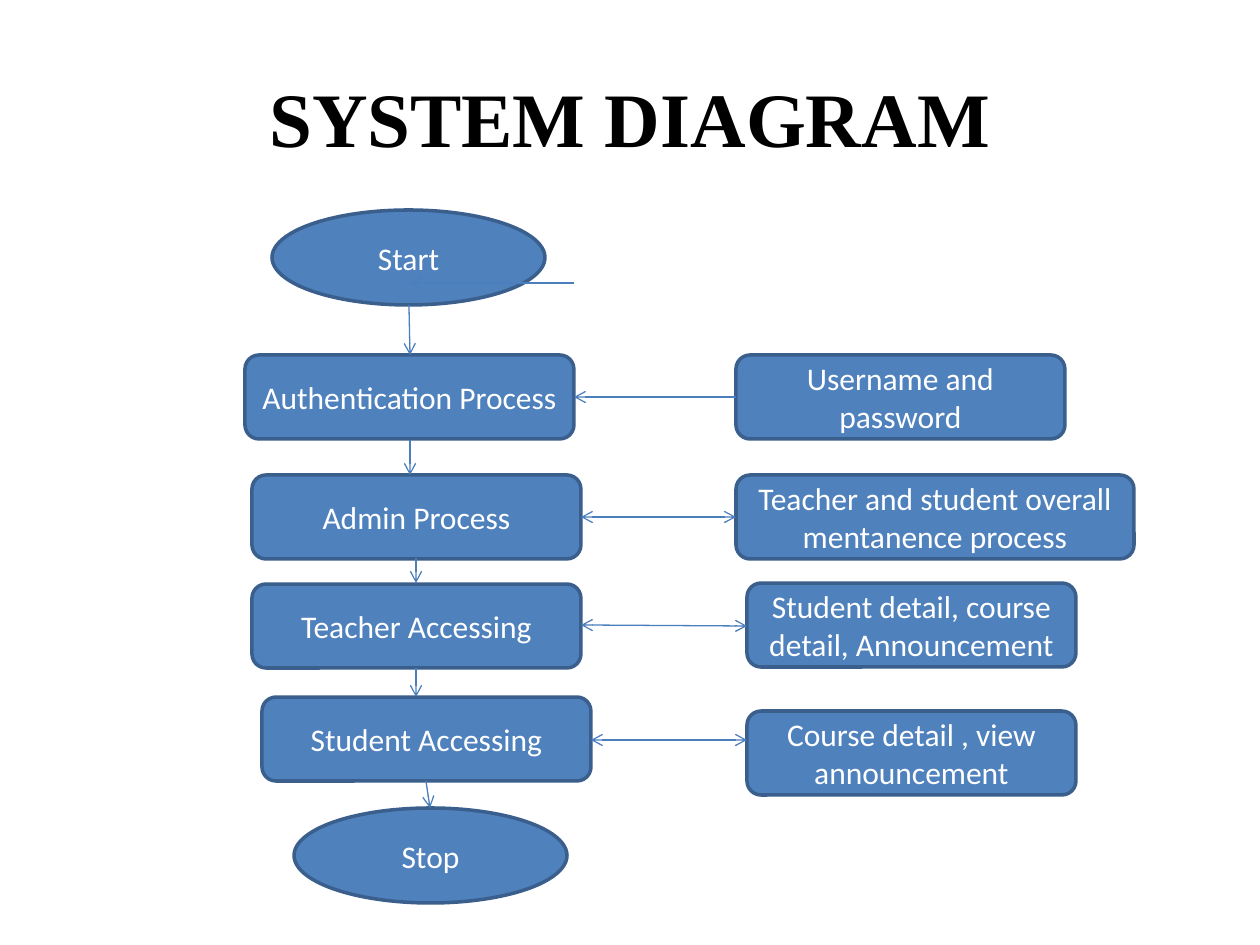
"""Builds the system diagram slide."""
from dataclasses import dataclass

from lxml.etree import SubElement
from pptx import Presentation
from pptx.dml.color import RGBColor
from pptx.enum.shapes import MSO_CONNECTOR as Connector, MSO_SHAPE as Shape
from pptx.enum.text import MSO_ANCHOR as Anchor, PP_ALIGN as Align
from pptx.oxml.ns import qn
from pptx.slide import Slide
from pptx.text.text import TextFrame
from pptx.util import Emu, Pt

EMU_PER_PIXEL = 914400 / 126


@dataclass(frozen=True)
class Theme:
    """Colours, fonts and sizes of the slide."""
    fill: RGBColor = RGBColor(0x4F, 0x81, 0xBD)
    border: RGBColor = RGBColor(0x3A, 0x5F, 0x8C)
    arrow: RGBColor = RGBColor(0x4B, 0x7E, 0xBC)
    title: RGBColor = RGBColor(0, 0, 0)
    label: RGBColor = RGBColor(255, 255, 255)
    title_font: str = "Times New Roman"
    label_font: str = "Calibri"
    title_size: float = 44
    label_size: float = 18
    border_width: float = 2
    arrow_width: float = 0.75


@dataclass(frozen=True)
class Node:
    """A labelled flowchart step, in pixels."""
    text: str
    left: int
    top: int
    width: int = 329
    height: int = 84
    kind: Shape = Shape.ROUNDED_RECTANGLE


@dataclass(frozen=True)
class Arrow:
    """A straight arrow between two points, in pixels."""
    start: tuple[int, int]
    end: tuple[int, int]
    both_ways: bool = False


THEME = Theme()
OVAL = dict(width=273, height=95, kind=Shape.OVAL)

NODES = [
    Node("Start", 272, 210, **OVAL),
    Node("Authentication Process ", 245, 355),
    Node("Admin Process", 252, 475),
    Node("Teacher Accessing", 252, 584),
    Node("Student Accessing", 262, 697),
    Node("Stop", 294, 808, **OVAL),
    Node("Username and password", 736, 355),
    Node("Teacher and student overall mentanence process", 736, 475, width=398),
    Node("Student detail, course detail, Announcement", 747, 583),
    Node("Course detail , view announcement", 747, 711),
]

ARROWS = [
    Arrow((574, 283), (410, 283)),
    Arrow((409, 305), (410, 355)),
    Arrow((410, 440), (410, 475)),
    Arrow((416, 558), (416, 583)),
    Arrow((416, 668), (416, 697)),
    Arrow((426, 781), (430, 808)),
    Arrow((736, 397), (574, 397)),
    Arrow((581, 517), (736, 517), both_ways=True),
    Arrow((581, 625), (747, 626), both_ways=True),
    Arrow((591, 740), (747, 740), both_ways=True),
]


def px(*lengths: int) -> list[Emu]:
    """Turn pixels into EMU."""
    return [Emu(round(length * EMU_PER_PIXEL)) for length in lengths]


def write(frame: TextFrame, text: str, font: str, size: float,
          color: RGBColor, bold: bool = False) -> None:
    """Put one centred run into a text frame."""
    frame.word_wrap = True
    frame.vertical_anchor = Anchor.MIDDLE
    para = frame.paragraphs[0]
    para.alignment = Align.CENTER
    span = para.add_run()
    span.text = text
    span.font.name = font
    span.font.size = Pt(size)
    span.font.bold = bold
    span.font.color.rgb = color


def add_title(page: Slide, text: str) -> None:
    """Place and fill the title placeholder."""
    title = page.shapes.title
    title.left, title.top, title.width, title.height = px(63, 38, 1134, 157)
    write(title.text_frame, text, THEME.title_font, THEME.title_size,
          THEME.title, bold=True)


def add_node(page: Slide, node: Node) -> None:
    """Draw one flowchart step."""
    box = page.shapes.add_shape(
        node.kind, *px(node.left, node.top, node.width, node.height))
    box.shadow.inherit = False
    box.fill.solid()
    box.fill.fore_color.rgb = THEME.fill
    box.line.color.rgb = THEME.border
    box.line.width = Pt(THEME.border_width)
    write(box.text_frame, node.text, THEME.label_font, THEME.label_size,
          THEME.label)


def add_arrow(page: Slide, arrow: Arrow) -> None:
    """Draw one arrow with open heads."""
    link = page.shapes.add_connector(
        Connector.STRAIGHT, *px(*arrow.start, *arrow.end))
    link.line.color.rgb = THEME.arrow
    link.line.width = Pt(THEME.arrow_width)
    outline = link.line._get_or_add_ln()
    for tag in ("a:headEnd", "a:tailEnd") if arrow.both_ways else ("a:tailEnd",):
        SubElement(outline, qn(tag), type="arrow")
    SubElement(link._element.spPr, qn("a:effectLst"))


def main() -> None:
    """Build and save the deck."""
    deck = Presentation()
    deck.slide_width, deck.slide_height = px(1260, 945)
    page = deck.slides.add_slide(deck.slide_layouts[5])
    add_title(page, "SYSTEM DIAGRAM")
    for node in NODES:
        add_node(page, node)
    for arrow in ARROWS:
        add_arrow(page, arrow)
    deck.save("out.pptx")


main()
